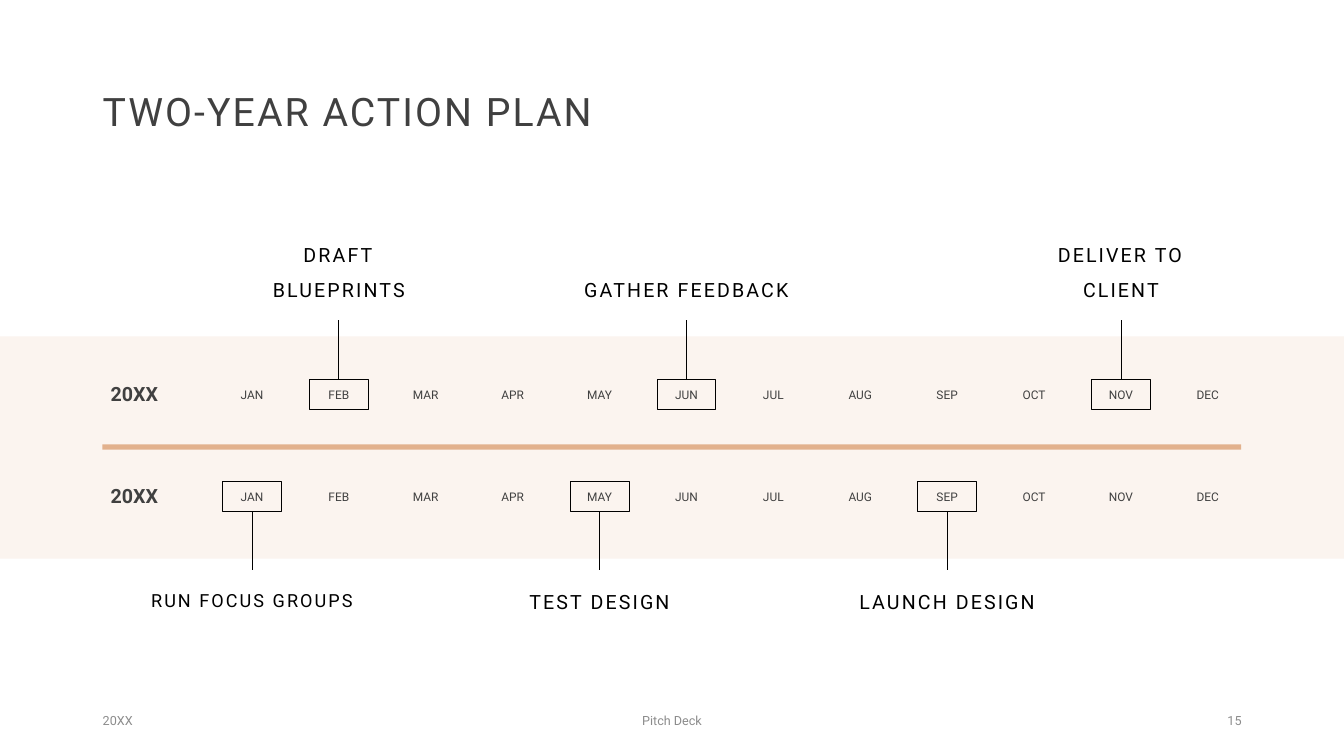
from dataclasses import dataclass

from lxml import etree
from pptx import Presentation
from pptx.dml.color import RGBColor
from pptx.enum.shapes import MSO_CONNECTOR, MSO_SHAPE
from pptx.enum.text import MSO_ANCHOR, PP_ALIGN
from pptx.oxml.ns import qn
from pptx.util import Cm, Pt

LEFT, CENTER, RIGHT = PP_ALIGN.LEFT, PP_ALIGN.CENTER, PP_ALIGN.RIGHT
TOP, MIDDLE, BOTTOM = MSO_ANCHOR.TOP, MSO_ANCHOR.MIDDLE, MSO_ANCHOR.BOTTOM
RECTANGLE = MSO_SHAPE.RECTANGLE
STRAIGHT = MSO_CONNECTOR.STRAIGHT

FONT = "Roboto"
BLACK, DARK, GRAY = "000000", "404040", "8C8C8C"
CREAM, TAN = "FBF4EF", "E2B18D"
SLIDE_WIDTH, SLIDE_HEIGHT = 33.87, 19.05
MONTHS = "JAN FEB MAR APR MAY JUN JUL AUG SEP OCT NOV DEC".split()
FIRST_MONTH_CENTER, MONTH_STEP = 6.35, 2.19
MONTH_WIDTH, MONTH_HEIGHT = 1.78, 0.56
BOX_WIDTH, BOX_HEIGHT = 1.48, 0.76
CALLOUT_WIDTH, CALLOUT_HEIGHT = 5.72, 1.55
STEM_LENGTH = 1.48


@dataclass
class Milestone:
    month: str
    text: str
    size: float = 14


@dataclass
class YearRow:
    label: str
    box_top: float
    callout_top: float
    callouts_above: bool
    milestones: list[Milestone]


@dataclass
class FooterItem:
    text: str
    left: float
    width: float
    align: PP_ALIGN


YEAR_ROWS = [
    YearRow("20XX", 9.55, 6.17, True, [
        Milestone("FEB", "DRAFT BLUEPRINTS"),
        Milestone("JUN", "GATHER FEEDBACK"),
        Milestone("NOV", "DELIVER TO CLIENT"),
    ]),
    YearRow("20XX", 12.12, 14.45, False, [
        Milestone("JAN", "RUN FOCUS GROUPS", 12.9),
        Milestone("MAY", "TEST DESIGN"),
        Milestone("SEP", "LAUNCH DESIGN"),
    ]),
]
FOOTER = [
    FooterItem("20XX", 2.34, 7.62, LEFT),
    FooterItem("Pitch Deck", 11.22, 11.43, CENTER),
    FooterItem("15", 23.92, 7.62, RIGHT),
]


def color(value: str) -> RGBColor:
    return RGBColor.from_string(value)


def month_center(month: str) -> float:
    return FIRST_MONTH_CENTER + MONTHS.index(month) * MONTH_STEP


def add_text(slide, text: str, left: float, top: float, width: float, height: float, *,
             size: float, fill: str = DARK, bold: bool = False, align: PP_ALIGN = LEFT,
             anchor: MSO_ANCHOR = MIDDLE, line_spacing: float = 1.0,
             space_before: float = 0, letter_spacing: float = 0) -> None:
    shape = slide.shapes.add_textbox(Cm(left), Cm(top), Cm(width), Cm(height))
    frame = shape.text_frame
    frame.word_wrap = True
    frame.vertical_anchor = anchor
    paragraph = frame.paragraphs[0]
    paragraph.alignment = align
    paragraph.line_spacing = line_spacing
    paragraph.space_before = Pt(space_before)
    run = paragraph.add_run()
    run.text = text
    run.font.name = FONT
    run.font.size = Pt(size)
    run.font.bold = bold
    run.font.color.rgb = color(fill)
    if letter_spacing:
        run.font._element.set("spc", str(int(letter_spacing * 100)))


def add_rectangle(slide, left: float, top: float, width: float, height: float, *,
                  fill: str | None = None, line: str | None = None) -> None:
    shape = slide.shapes.add_shape(RECTANGLE, Cm(left), Cm(top), Cm(width), Cm(height))
    shape.shadow.inherit = False
    if fill:
        shape.fill.solid()
        shape.fill.fore_color.rgb = color(fill)
    else:
        shape.fill.background()
    if line:
        shape.line.color.rgb = color(line)
        shape.line.width = Pt(0.5)
    else:
        shape.line.fill.background()


def add_stem(slide, center: float, top: float) -> None:
    connector = slide.shapes.add_connector(
        STRAIGHT, Cm(center), Cm(top), Cm(center), Cm(top + STEM_LENGTH))
    connector.line.color.rgb = color(BLACK)
    connector.line.width = Pt(0.5)
    etree.SubElement(connector._element.spPr, qn("a:effectLst"))


def add_milestone(slide, row: YearRow, milestone: Milestone) -> None:
    center = month_center(milestone.month)
    stem_top = row.box_top - STEM_LENGTH if row.callouts_above else row.box_top + BOX_HEIGHT
    add_stem(slide, center, stem_top)
    add_rectangle(slide, center - BOX_WIDTH / 2, row.box_top, BOX_WIDTH, BOX_HEIGHT, line=BLACK)
    add_text(slide, milestone.text, center - CALLOUT_WIDTH / 2, row.callout_top,
             CALLOUT_WIDTH, CALLOUT_HEIGHT, size=milestone.size, fill=BLACK, align=CENTER,
             anchor=BOTTOM if row.callouts_above else TOP,
             line_spacing=1.5, space_before=10, letter_spacing=1.5)


def add_year_row(slide, row: YearRow) -> None:
    add_text(slide, row.label, 2.54, row.box_top - 0.22, 2.03, 1.27,
             size=14, bold=True, line_spacing=0.9, space_before=10)
    for month in MONTHS:
        add_text(slide, month, month_center(month) - MONTH_WIDTH / 2, row.box_top + 0.18,
                 MONTH_WIDTH, MONTH_HEIGHT, size=8.5, align=CENTER, anchor=TOP,
                 line_spacing=0.7, space_before=10)
    for milestone in row.milestones:
        add_milestone(slide, row, milestone)


def main() -> None:
    presentation = Presentation()
    presentation.slide_width = Cm(SLIDE_WIDTH)
    presentation.slide_height = Cm(SLIDE_HEIGHT)
    slide = presentation.slides.add_slide(presentation.slide_layouts[6])
    add_rectangle(slide, 0, 8.48, SLIDE_WIDTH, 5.6, fill=CREAM)
    add_rectangle(slide, 2.58, 11.2, 28.7, 0.13, fill=TAN)
    add_text(slide, "TWO-YEAR ACTION PLAN", 2.34, 1.02, 29.21, 3.68,
             size=28, line_spacing=0.9, letter_spacing=1.5)
    for row in YEAR_ROWS:
        add_year_row(slide, row)
    for item in FOOTER:
        add_text(slide, item.text, item.left, 17.65, item.width, 1.02,
                 size=9, fill=GRAY, align=item.align)
    presentation.save("out.pptx")


if __name__ == "__main__":
    main()
